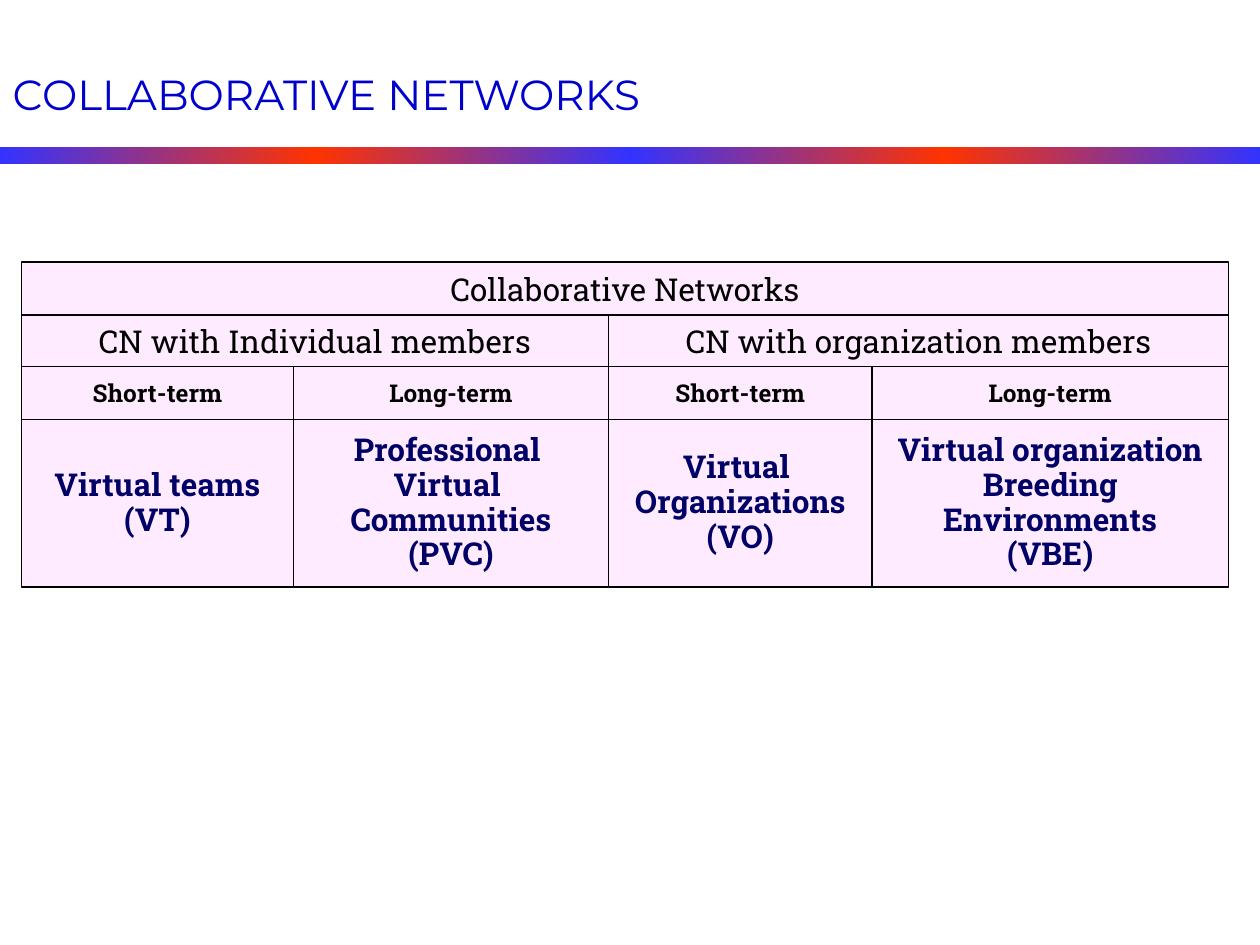
from copy import deepcopy
from dataclasses import dataclass

from pptx import Presentation
from pptx.dml.color import RGBColor
from pptx.enum.shapes import MSO_SHAPE
from pptx.enum.text import MSO_ANCHOR, MSO_AUTO_SIZE, PP_ALIGN
from pptx.oxml.ns import qn
from pptx.util import Inches, Pt

RECTANGLE = MSO_SHAPE.RECTANGLE
MIDDLE = MSO_ANCHOR.MIDDLE
CENTER, LEFT = PP_ALIGN.CENTER, PP_ALIGN.LEFT
NO_AUTOFIT = MSO_AUTO_SIZE.NONE


@dataclass(frozen=True)
class Theme:
    """Colours, fonts and sizes of the slide."""
    title_font: str = "Montserrat"
    body_font: str = "Roboto Slab"
    title_color: str = "0000CC"
    heading_color: str = "000000"
    network_color: str = "000066"
    cell_fill: str = "FFEBFF"
    border_color: str = "000000"
    band_edge: str = "3333FF"
    band_center: str = "FF3300"
    title_size: int = 24
    body_size: int = 18
    term_size: int = 14
    border_width: float = 0.75
    network_spacing: float = 0.92


THEME = Theme()
COLUMN_EDGES = (0, 2.16, 4.66, 6.75, 9.58)
ROW_EDGES = (0, 0.42, 0.83, 1.25, 2.58)
HEADING = (THEME.body_size, THEME.heading_color, False)
TERM = (THEME.term_size, THEME.heading_color, True)
NETWORK = (THEME.body_size, THEME.network_color, True)
GRID_ROWS = (
    (HEADING, 4, ("Collaborative Networks",)),
    (HEADING, 2, ("CN with Individual members", "CN with organization members")),
    (TERM, 1, ("Short-term", "Long-term") * 2),
    (NETWORK, 1, (
        "Virtual teams\n(VT)",
        "Professional \nVirtual \nCommunities\n(PVC)",
        "Virtual \nOrganizations\n(VO)",
        "Virtual organization\n Breeding \nEnvironments\n(VBE)",
    )),
)


def format_text(frame, font_name, size, color, bold, align):
    """Format every run of a text frame alike."""
    for para in frame.paragraphs:
        para.alignment = align
        for span in para.runs:
            span.font.name = font_name
            span.font.size = Pt(size)
            span.font.bold = bold
            span.font.color.rgb = RGBColor.from_string(color)


def add_title(page, left, top, width, height):
    """Place and format the title placeholder."""
    title = page.shapes.title
    title.left, title.top = Inches(left), Inches(top)
    title.width, title.height = Inches(width), Inches(height)
    frame = title.text_frame
    frame.text = "COLLABORATIVE NETWORKS"
    frame.auto_size = NO_AUTOFIT
    frame.vertical_anchor = MIDDLE
    format_text(frame, THEME.title_font, THEME.title_size, THEME.title_color, False, LEFT)


def add_box(page, left, top, width, height):
    """Add a rectangle without shadow."""
    box = page.shapes.add_shape(
        RECTANGLE, Inches(left), Inches(top), Inches(width), Inches(height))
    box.shadow.inherit = False
    return box


def add_band(page, left, top, width, height):
    """Draw two equal gradient bars side by side."""
    half = width / 2
    for index in range(2):
        bar = add_box(page, left + index * half, top, half, height)
        bar.line.fill.background()
        bar.fill.gradient()
        bar.fill.gradient_angle = 0
        stop_list = bar.element.spPr.find(".//" + qn("a:gsLst"))
        stop_list.append(deepcopy(stop_list[0]))
        colors = (THEME.band_edge, THEME.band_center, THEME.band_edge)
        for stop, position, color in zip(bar.fill.gradient_stops, (0, 0.5, 1), colors):
            stop.position = position
            stop.color.rgb = RGBColor.from_string(color)


def add_cell(page, left, top, width, height, label, style):
    """Draw one outlined cell with centred text."""
    cell = add_box(page, left, top, width, height)
    cell.fill.solid()
    cell.fill.fore_color.rgb = RGBColor.from_string(THEME.cell_fill)
    cell.line.color.rgb = RGBColor.from_string(THEME.border_color)
    cell.line.width = Pt(THEME.border_width)
    frame = cell.text_frame
    frame.text = label
    frame.word_wrap = False
    frame.vertical_anchor = MIDDLE
    format_text(frame, THEME.body_font, *style, CENTER)
    if style is NETWORK:
        for para in frame.paragraphs:
            para.line_spacing = THEME.network_spacing


def add_network_grid(page, left, top):
    """Draw the classification, each row splitting the one above."""
    for row_index, (style, span_count, labels) in enumerate(GRID_ROWS):
        row_top, row_bottom = ROW_EDGES[row_index:row_index + 2]
        edges = COLUMN_EDGES[::span_count]
        for start, end, label in zip(edges, edges[1:], labels):
            add_cell(page, left + start, top + row_top,
                     end - start, row_bottom - row_top, label, style)


def main():
    """Build and save the slide."""
    deck = Presentation()
    deck.slide_width, deck.slide_height = Inches(10), Inches(7.5)
    page = deck.slides.add_slide(deck.slide_layouts[5])
    add_band(page, 0, 1.17, 10, 0.13)
    add_title(page, 0, 0.37, 10, 0.75)
    add_network_grid(page, 0.17, 2.08)
    deck.save("out.pptx")


if __name__ == "__main__":
    main()
